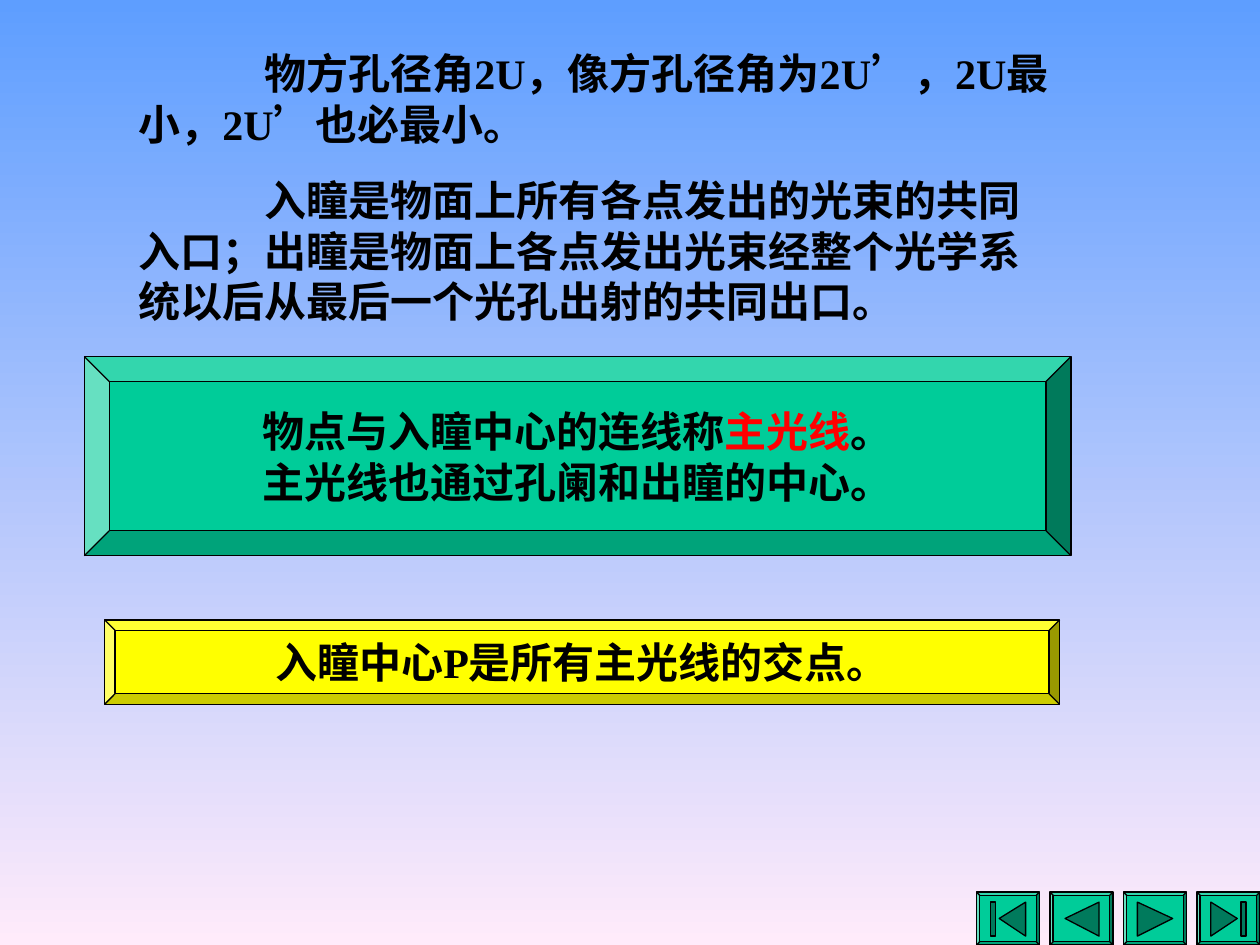
from lxml import etree
from pptx import Presentation
from pptx.dml.color import RGBColor
from pptx.enum.shapes import MSO_SHAPE
from pptx.enum.text import MSO_ANCHOR, PP_ALIGN
from pptx.oxml.ns import qn
from pptx.util import Inches, Pt

BEVEL = MSO_SHAPE.BEVEL
MIDDLE = MSO_ANCHOR.MIDDLE
CENTER = PP_ALIGN.CENTER
HEX = {"sky": "5E9EFF", "pink": "FFEBFA", "green": "00CC99", "dark": "007A5C",
       "yellow": "FFFF00", "red": "FF0000", "black": "000000"}
RGB = {name: RGBColor.from_string(code) for name, code in HEX.items()}
FONT = {"name": "Times New Roman", "size": Pt(24), "bold": True}


def paint(shape, fill):
    shape.shadow.inherit = False
    shape.fill.solid()
    shape.fill.fore_color.rgb = RGB[fill]
    shape.line.color.rgb = RGB["black"]
    shape.line.width = Pt(0.75)


def write(para, runs):
    for text, color in runs:
        run = para.add_run()
        run.text = text
        for key, value in FONT.items():
            setattr(run.font, key, value)
        run.font.color.rgb = RGB[color]


prs = Presentation()
prs.slide_width, prs.slide_height = Inches(10), Inches(7.5)
slide = prs.slides.add_slide(prs.slide_layouts[6])
shapes = slide.shapes

back = slide.background.fill
back.gradient()
back.gradient_angle = 270
for stop, color, pos in zip(back.gradient_stops, ("sky", "pink"), (0, 1)):
    stop.color.rgb = RGB[color]
    stop.position = pos

body = shapes.add_textbox(Inches(1), Inches(0.33), Inches(7.42), Inches(2.31))
frame = body.text_frame
frame.word_wrap = True
texts = [
    "\t物方孔径角2U，像方孔径角为2U’，2U最小，2U’也必最小。",
    "\t入瞳是物面上所有各点发出的光束的共同入口；出瞳是物面上各点发出光束经整个光学系统以后从最后一个光孔出射的共同出口。",
]
for i, text in enumerate(texts):
    para = frame.add_paragraph() if i else frame.paragraphs[0]
    para.space_before = Pt(15 * i)
    tabs = etree.SubElement(para._p.get_or_add_pPr(), qn("a:tabLst"))
    etree.SubElement(tabs, qn("a:tab"), pos=str(Inches(1)), algn="l")
    write(para, [(text, "black")])

panels = [
    ((0.67, 2.83, 7.83, 1.58), "green", [
        [("物点与入瞳中心的连线称", "black"), ("主光线", "red"), ("。", "black")],
        [("主光线也通过孔阑和出瞳的中心。", "black")],
    ]),
    ((0.83, 4.92, 7.58, 0.67), "yellow", [
        [("入瞳中心P是所有主光线的交点。", "black")],
    ]),
]
for box, fill, lines in panels:
    panel = shapes.add_shape(BEVEL, *map(Inches, box))
    panel.adjustments[0] = 0.125
    paint(panel, fill)
    frame = panel.text_frame
    frame.word_wrap = False
    frame.vertical_anchor = MIDDLE
    for i, runs in enumerate(lines):
        para = frame.add_paragraph() if i else frame.paragraphs[0]
        para.alignment = CENTER
        write(para, runs)

top, mid, low = 7.16, 7.29, 7.43
icons = [(0.18, 0.39, 0.11), (0.12, 0.39, None),
         (0.39, 0.11, None), (0.32, 0.11, 0.35)]
for i, (tip, base, bar) in enumerate(icons):
    left = 7.75 + i * 7 / 12
    button = shapes.add_shape(BEVEL, Inches(left), Inches(7.08), Inches(0.5), Inches(0.42))
    button.adjustments[0] = 0.06
    paint(button, "green")
    marks = [[(tip, mid), (base, top), (base, low)]]
    if bar:
        end = bar + 0.04
        marks.append([(bar, top), (end, top), (end, low), (bar, low)])
    for mark in marks:
        dots = [(Inches(left + x), Inches(y)) for x, y in mark]
        pen = shapes.build_freeform(*dots[0])
        pen.add_line_segments(dots[1:])
        paint(pen.convert_to_shape(), "dark")

prs.save("out.pptx")
